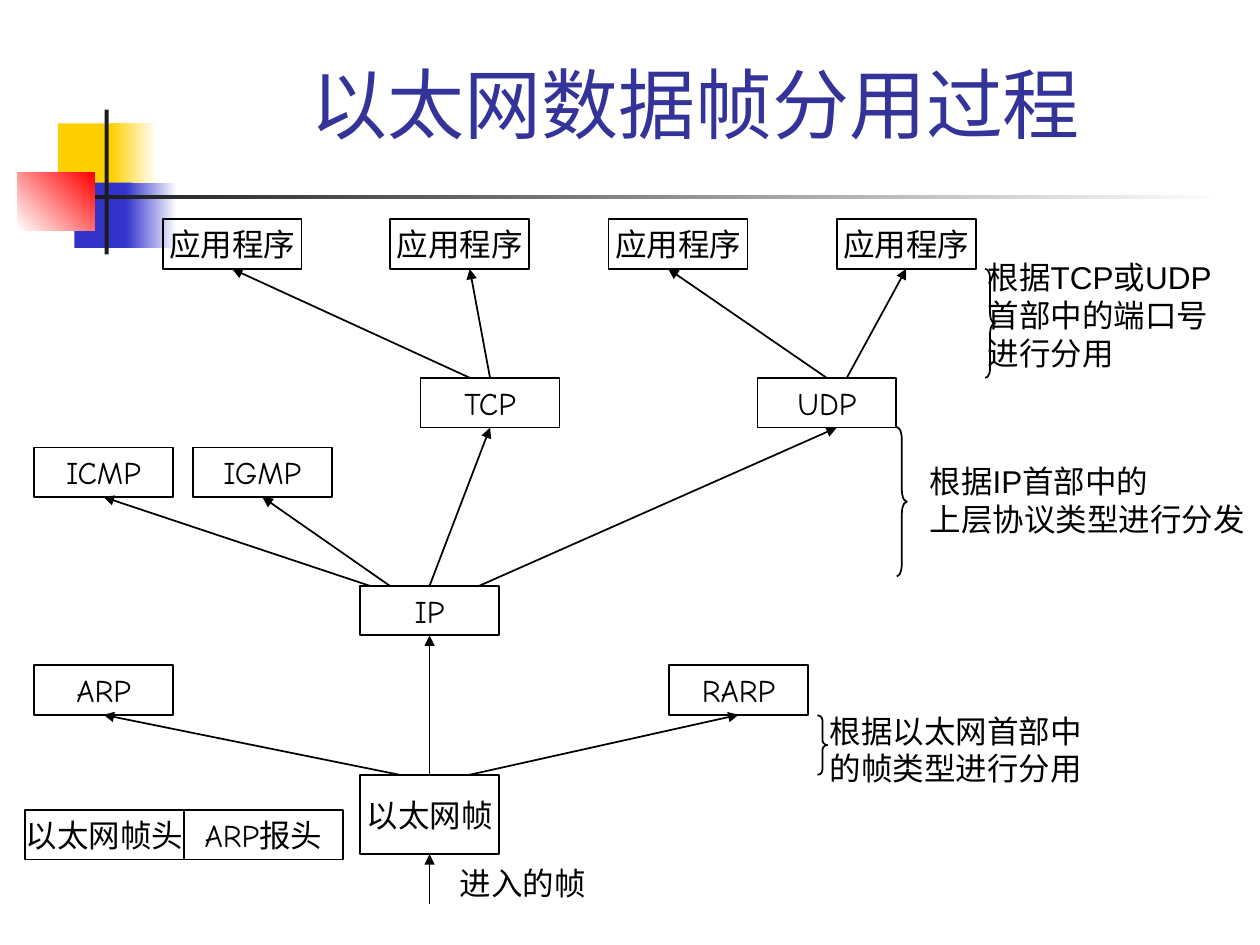
"""Build the slide on how Ethernet frames are demultiplexed."""
from lxml.etree import SubElement
from pptx import Presentation
from pptx.dml.color import RGBColor
from pptx.enum.shapes import MSO_CONNECTOR, MSO_SHAPE
from pptx.enum.text import MSO_ANCHOR, PP_ALIGN
from pptx.oxml.ns import qn
from pptx.util import Cm, Pt

BLACK, WHITE, DARK = "000000", "FFFFFF", "1C1C1C"
GOLD, BLUE, RED, NAVY = "FFCF01", "3333CC", "FF0000", "333399"

TITLE = "以太网数据帧分用过程"
DECOR = [
    ((1.17, 2.49, 1.22, 1.32), (GOLD,), 0),
    ((2.24, 2.49, 0.91, 1.32), (GOLD, WHITE), 0),
    ((1.5, 3.68, 1.17, 1.32), (BLUE,), 0),
    ((2.54, 3.68, 1.02, 1.32), (BLUE, WHITE), 0),
    ((0.36, 3.48, 1.55, 1.17), (WHITE, RED), 45),
    ((2.11, 2.21, 0.08, 2.92), (DARK,), 0),
    ((1.91, 3.94, 22.86, 0.08), (DARK, WHITE), 0),
]
WIDE, HIGH = 2.8, 1
ROWS = [
    (4.42, [("app1", "应用程序", 3.28), ("app2", "应用程序", 7.87),
            ("app3", "应用程序", 12.27), ("app4", "应用程序", 16.87)]),
    (7.62, [("tcp", "TCP", 8.48), ("udp", "UDP", 15.27)]),
    (9.02, [("icmp", "ICMP", 0.69), ("igmp", "IGMP", 3.89)]),
    (11.81, [("ip", "IP", 7.26)]),
    (13.41, [("arp", "ARP", 0.69), ("rarp", "RARP", 13.49)]),
]
FRAME = ("以太网帧", (7.26, 15.62, WIDE, 1.6))
HEADS = ["以太网帧头", "ARP报头"]
LINKS = [
    ("frame", 0, "ip", 0), ("frame", -0.6, "arp", 0),
    ("frame", 0.8, "rarp", 0), ("ip", -1.2, "icmp", 0),
    ("ip", -0.8, "igmp", 0), ("ip", 0, "tcp", 0), ("ip", 1, "udp", 0.2),
    ("tcp", -0.4, "app1", 0), ("tcp", 0, "app2", 0.2),
    ("udp", 0, "app3", -0.2), ("udp", 0.4, "app4", 0),
]
NOTES = [
    ((9.02, 17.3, 3.05, 1.02), ["进入的帧"]),
    ((16.48, 14.22, 5.59, 1.78), ["根据以太网首部中", "的帧类型进行分用"]),
    ((18.49, 9.19, 6.86, 1.78), ["根据IP首部中的", "上层协议类型进行分发"]),
    ((19.66, 5.08, 5.49, 2.54),
     ["根据TCP或UDP", "首部中的端口号", "进行分用"]),
]
BRACES = [(16.48, 14.42, 0.2, 1.2), (18.08, 8.61, 0.2, 3.01),
          (19.86, 5.42, 0.2, 2.2)]


def tint(code):
    return RGBColor.from_string(code)


BOX = {"size": Pt(18), "name": "Comic Neue"}
NOTE = {"size": Pt(18), "name": "Arial"}
HEAD = {"size": Pt(44), "name": "Karla"}

deck = Presentation()
deck.slide_width, deck.slide_height = Cm(25.4), Cm(19.05)
shapes = deck.slides.add_slide(deck.slide_layouts[6]).shapes


def size(place):
    return [Cm(x) for x in place]


def write(shape, lines, form, code=BLACK, align=PP_ALIGN.LEFT,
          anchor=MSO_ANCHOR.TOP, wrap=False):
    frame = shape.text_frame
    frame.text = "\n".join(lines)
    frame.word_wrap, frame.vertical_anchor = wrap, anchor
    for para in frame.paragraphs:
        para.alignment = align
        para.font.color.rgb = tint(code)
        for key, val in form.items():
            setattr(para.font, key, val)


def ink(line):
    line.color.rgb = tint(BLACK)
    line.width = Pt(1)


def draw(kind, place):
    shape = shapes.add_shape(kind, *size(place))
    shape.shadow.inherit = False
    shape.fill.background()
    return shape


def block(text, place):
    shape = draw(MSO_SHAPE.RECTANGLE, place)
    ink(shape.line)
    write(shape, [text], BOX, align=PP_ALIGN.CENTER, anchor=MSO_ANCHOR.MIDDLE)
    return shape


def arrow(start, end):
    line = shapes.add_connector(MSO_CONNECTOR.STRAIGHT, *start, *end)
    ink(line.line)
    props = line._element.spPr
    SubElement(props.find(qn("a:ln")), qn("a:tailEnd"), type="triangle")
    SubElement(props, qn("a:effectLst"))
    return line


def port(shape, side, shift):
    mid = shape.left + shape.width // 2 + Cm(shift)
    return mid, shape.top + (shape.height if side == 2 else 0)


def main():
    for place, codes, angle in DECOR:
        shape = draw(MSO_SHAPE.RECTANGLE, place)
        shape.line.fill.background()
        if len(codes) == 1:
            shape.fill.solid()
            shape.fill.fore_color.rgb = tint(codes[0])
        else:
            shape.fill.gradient()
            shape.fill.gradient_angle = angle
            for stop, code in zip(shape.fill.gradient_stops, codes):
                stop.color.rgb = tint(code)

    title = shapes.add_textbox(*size((3.2, 0.58, 21.64, 2.54)))
    write(title, [TITLE], HEAD, NAVY, PP_ALIGN.CENTER, MSO_ANCHOR.BOTTOM, True)

    nodes = {"frame": block(*FRAME)}
    for top, row in ROWS:
        for name, text, left in row:
            nodes[name] = block(text, (left, top, WIDE, HIGH))
    for num, text in enumerate(HEADS):
        block(text, (0.51 + 3.2 * num, 16.33, 3.2, HIGH))

    for low, out, high, into in LINKS:
        base, goal = nodes[low], nodes[high]
        line = arrow(port(base, 0, out), port(goal, 2, into))
        if not out:
            line.begin_connect(base, 0)
        if not into:
            line.end_connect(goal, 2)
    foot = port(nodes["frame"], 2, 0)
    arrow((foot[0], foot[1] + Cm(1)), foot).end_connect(nodes["frame"], 2)

    for place, lines in NOTES:
        write(shapes.add_textbox(*size(place)), lines, NOTE)
    for place in BRACES:
        brace = draw(MSO_SHAPE.RIGHT_BRACE, place)
        ink(brace.line)
        brace.adjustments[0] = place[3] / place[2] / 12

    deck.save("out.pptx")


if __name__ == "__main__":
    main()
